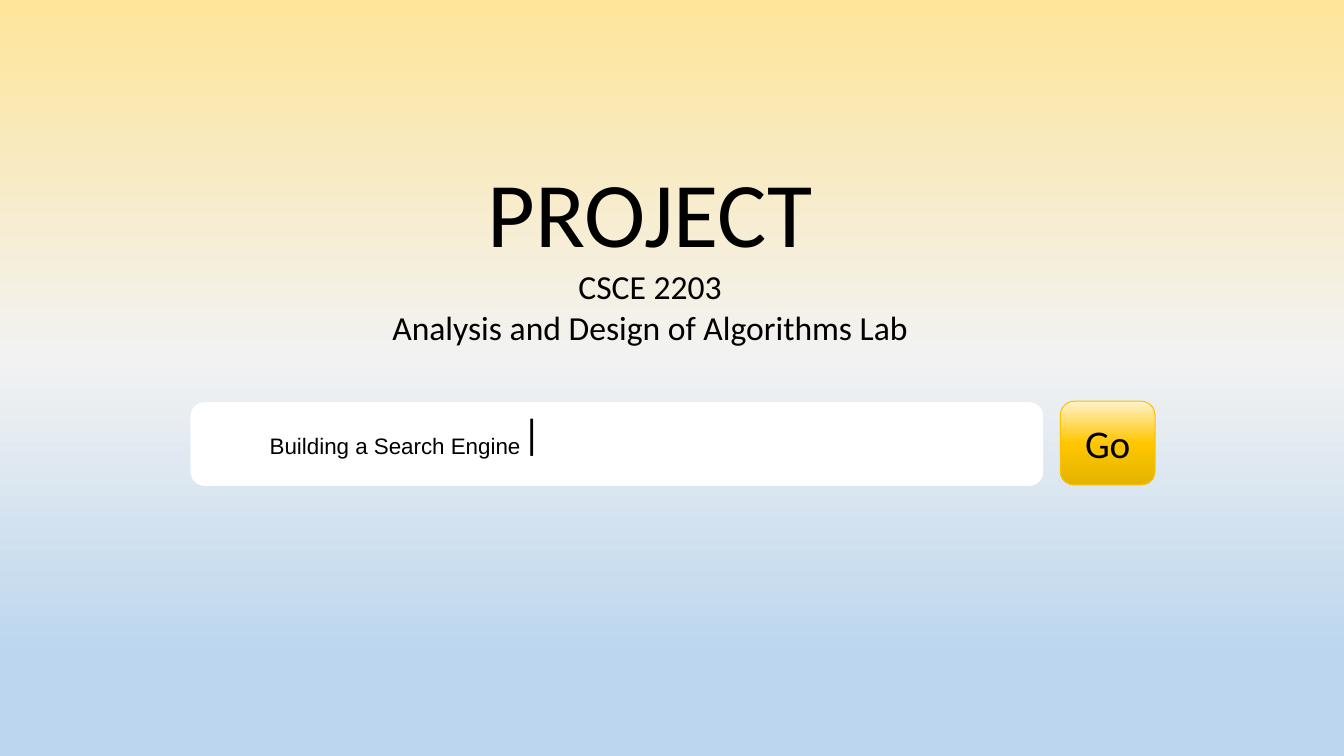
from dataclasses import dataclass
from typing import Optional

from lxml.etree import SubElement
from pptx import Presentation
from pptx.dml.color import RGBColor
from pptx.dml.fill import FillFormat
from pptx.enum.shapes import MSO_SHAPE as Preset
from pptx.enum.text import MSO_ANCHOR as Anchor, MSO_AUTO_SIZE as AutoSize, PP_ALIGN as Align
from pptx.oxml.ns import qn
from pptx.oxml.xmlchemy import BaseOxmlElement as Element
from pptx.slide import Slide
from pptx.text.text import TextFrame
from pptx.util import Pt

COLORS = {
    "text": "000000",
    "field": "FFFFFF",
    "sky_top": "FEE599",
    "sky_middle": "F2F2F2",
    "sky_bottom": "BBD6EE",
    "button_top": "FFF2CC",
    "button_middle": "FFC600",
    "button_bottom": "E3B400",
    "button_line": "FFC000",
}
Stops = tuple[tuple[int, str], ...]
SKY: Stops = ((0, "sky_top"), (47, "sky_middle"), (87, "sky_bottom"), (100, "sky_bottom"))
BUTTON: Stops = ((0, "button_top"), (50, "button_middle"), (100, "button_bottom"))
CORNER = 0.167


@dataclass(frozen=True)
class Line:
    text: str
    size: float
    font: str = "Calibri"
    align: Align = Align.LEFT


@dataclass(frozen=True)
class RoundBox:
    left: float
    top: float
    width: float
    height: float
    fill: Optional[str] = None
    stops: Optional[Stops] = None
    line: Optional[str] = None
    label: Optional[Line] = None


HEADING = (
    Line("PROJECT", 66, align=Align.CENTER),
    Line("CSCE 2203", 24, align=Align.CENTER),
    Line("Analysis and Design of Algorithms Lab", 24, align=Align.CENTER),
)
SEARCH_BAR = (
    RoundBox(136.1, 287.3, 609.1, 59.8, fill="field"),
    RoundBox(183.6, 298.1, 338.4, 41, label=Line("Building a Search Engine", 16, "Arial")),
    RoundBox(757.4, 286.6, 67.7, 59.8, stops=BUTTON, line="button_line",
             label=Line("Go", 28, align=Align.CENTER)),
)
CURSOR = Line("|", 30)


def rgb(name: str) -> RGBColor:
    return RGBColor.from_string(COLORS[name])


def fill_downward(fill: FillFormat, owner: Element, stops: Stops) -> None:
    """Give the fill inside the owner element a top-to-bottom gradient."""
    fill.gradient()
    fill.gradient_angle = 270
    stop_list = next(owner.iter(qn("a:gsLst")))
    for old_stop in list(stop_list):
        stop_list.remove(old_stop)
    for percent, name in stops:
        stop = SubElement(stop_list, qn("a:gs"), pos=str(percent * 1000))
        SubElement(stop, qn("a:srgbClr"), val=COLORS[name])


def write_lines(frame: TextFrame, lines: tuple[Line, ...], anchor: Anchor) -> None:
    frame_format = {
        "word_wrap": True, "auto_size": AutoSize.NONE, "vertical_anchor": anchor,
        "margin_left": Pt(7.2), "margin_right": Pt(7.2),
        "margin_top": Pt(3.6), "margin_bottom": Pt(3.6),
    }
    for name, value in frame_format.items():
        setattr(frame, name, value)
    for index, line in enumerate(lines):
        para = frame.add_paragraph() if index else frame.paragraphs[0]
        para.alignment = line.align
        span = para.add_run()
        span.text = line.text
        for name, value in {"name": line.font, "size": Pt(line.size)}.items():
            setattr(span.font, name, value)
        span.font.color.rgb = rgb("text")


def add_heading(slide: Slide) -> None:
    title = slide.shapes.title
    place = {"left": 271.4, "top": 107.3, "width": 385.9, "height": 145.4}
    for name, value in place.items():
        setattr(title, name, Pt(value))
    write_lines(title.text_frame, HEADING, Anchor.TOP)


def add_round_box(slide: Slide, box: RoundBox) -> None:
    shape = slide.shapes.add_shape(
        Preset.ROUNDED_RECTANGLE, Pt(box.left), Pt(box.top), Pt(box.width), Pt(box.height))
    shape.adjustments[0] = CORNER
    shape.shadow.inherit = False
    if box.stops:
        fill_downward(shape.fill, shape._element, box.stops)
    elif box.fill:
        shape.fill.solid()
        shape.fill.fore_color.rgb = rgb(box.fill)
    else:
        shape.fill.background()
    if box.line:
        shape.line.color.rgb = rgb(box.line)
        shape.line.width = Pt(0.75)
    else:
        shape.line.fill.background()
    if box.label:
        write_lines(shape.text_frame, (box.label,), Anchor.MIDDLE)


def main() -> None:
    deck = Presentation()
    deck.slide_width, deck.slide_height = Pt(960), Pt(540)
    page = deck.slides.add_slide(deck.slide_layouts[5])
    fill_downward(page.background.fill, page._element, SKY)
    add_heading(page)
    for box in SEARCH_BAR:
        add_round_box(page, box)
    cursor = page.shapes.add_textbox(Pt(365.8), Pt(287.3), Pt(18.7), Pt(46.1))
    write_lines(cursor.text_frame, (CURSOR,), Anchor.TOP)
    deck.save("out.pptx")


if __name__ == "__main__":
    main()
